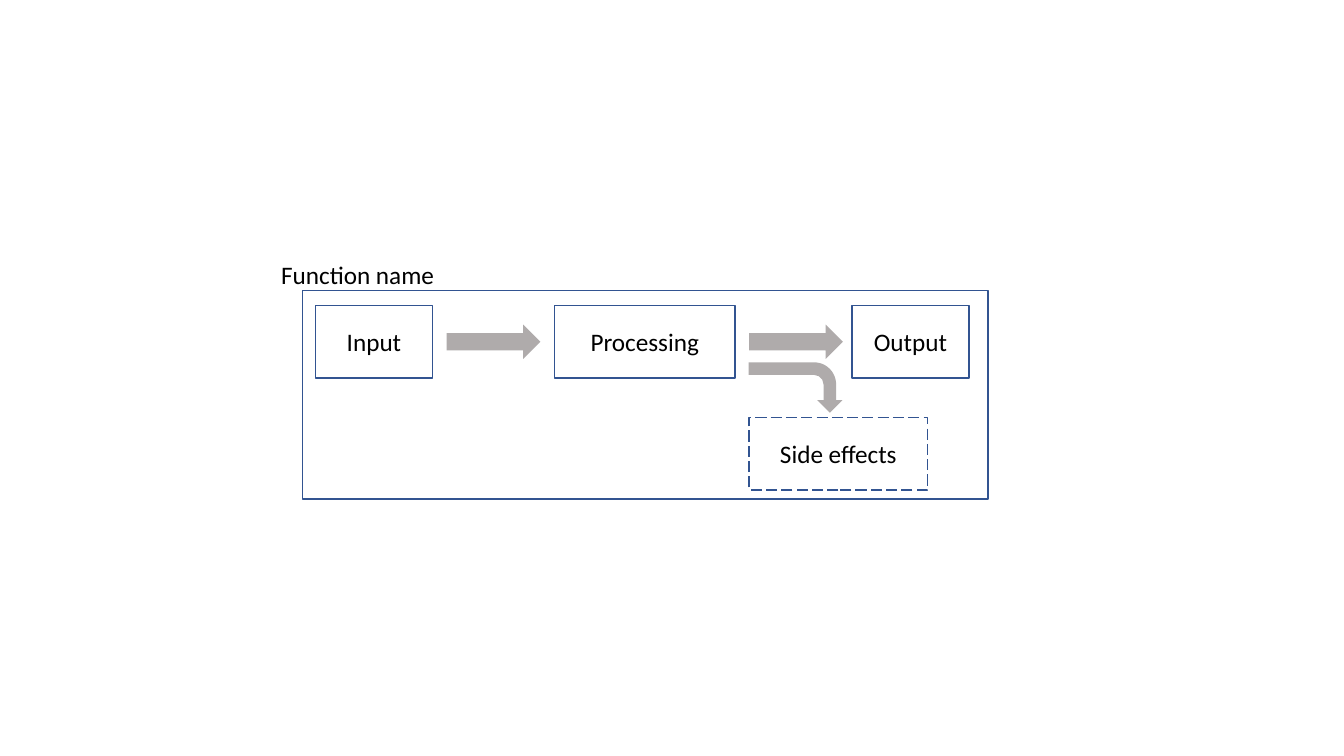
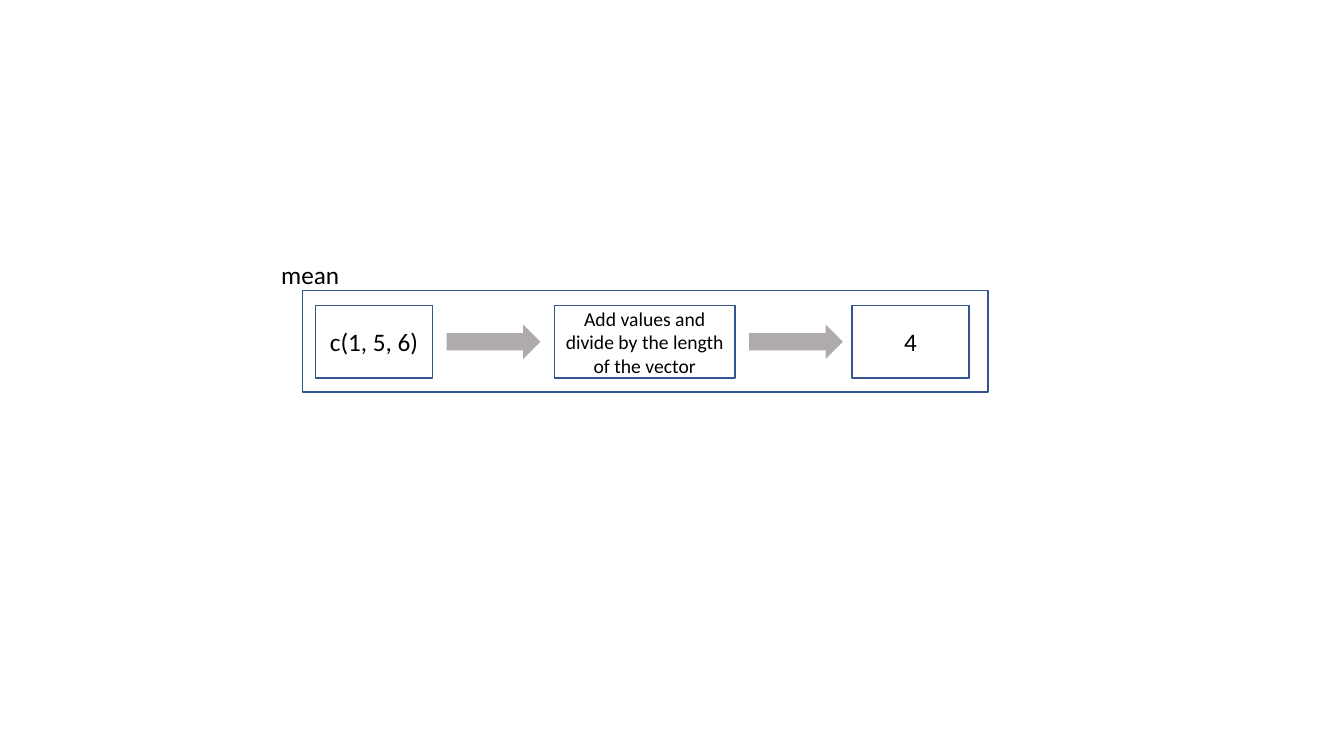
from pptx import Presentation
from pptx.dml.color import RGBColor
from pptx.enum.dml import MSO_LINE_DASH_STYLE as Dash
from pptx.enum.shapes import MSO_SHAPE as Shape
from pptx.enum.text import MSO_ANCHOR as Anchor, MSO_AUTO_SIZE as AutoSize, PP_ALIGN as Align
from pptx.util import Inches, Pt

FONT = "Calibri"
BORDER, ARROW, TEXT = "325491", "AFABAB", "000000"

# Shared geometry, in inches
FRAME_LEFT, FRAME_TOP, FRAME_WIDTH = 3, 2.88, 6.8
STEP_TOP, STEP_HEIGHT = 0.15, 0.72
STEP_COLUMNS = [(0.13, 1.16), (2.5, 1.79), (5.45, 1.16)]
ARROW_LEFTS = [1.43, 4.43]
ARROW_WIDTH, ARROW_HEIGHT = 0.93, 0.34


def color(hex_code):
    return RGBColor.from_string(hex_code)


def write(shape, text, size=18, align=Align.LEFT):
    shape.text_frame.text = text
    paragraph = shape.text_frame.paragraphs[0]
    paragraph.alignment = align
    font = paragraph.runs[0].font
    font.name, font.size = FONT, Pt(size)
    font.color.rgb = color(TEXT)


def add_plain(slide, kind, left, top, width, height):
    shape = slide.shapes.add_shape(
        kind, Inches(left), Inches(top), Inches(width), Inches(height))
    shape.shadow.inherit = False
    return shape


def add_box(slide, left, top, width, height, text=None, size=18, dash=None):
    box = add_plain(slide, Shape.RECTANGLE, left, top, width, height)
    box.fill.background()
    box.line.color.rgb = color(BORDER)
    box.line.width = Pt(1)
    if dash:
        box.line.dash_style = dash
    if text:
        box.text_frame.word_wrap = True
        box.text_frame.vertical_anchor = Anchor.MIDDLE
        write(box, text, size, Align.CENTER)


def add_arrow(slide, kind, left, top, width, height, rotation=0):
    arrow = add_plain(slide, kind, left, top, width, height)
    arrow.rotation = rotation
    arrow.fill.solid()
    arrow.fill.fore_color.rgb = color(ARROW)
    arrow.line.fill.background()


def add_name(slide, left, top, width, name):
    label = slide.shapes.add_textbox(
        Inches(left), Inches(top), Inches(width), Inches(0.4))
    label.text_frame.word_wrap = False
    label.text_frame.auto_size = AutoSize.SHAPE_TO_FIT_TEXT
    write(label, name)


def add_side_effects(slide, left, top, text):
    """Bent arrow leading down to a dashed box."""
    # The arrow is turned by 90 degrees, so its width and height swap
    add_arrow(slide, Shape.BENT_ARROW, left + 0.21, top, 0.5, 0.93, rotation=90)
    add_box(slide, left, top + 0.76, 1.77, STEP_HEIGHT, text, dash=Dash.LONG_DASH)


def add_function_slide(deck, name, name_width, steps, frame_height, side_effects=None):
    slide = deck.slides.add_slide(deck.slide_layouts[6])
    left, top = FRAME_LEFT, FRAME_TOP

    # Input, processing and output
    for (offset, width), (text, size) in zip(STEP_COLUMNS, steps):
        add_box(slide, left + offset, top + STEP_TOP, width, STEP_HEIGHT, text, size)

    # Arrows, centred on the steps
    arrow_top = top + STEP_TOP + (STEP_HEIGHT - ARROW_HEIGHT) / 2
    for offset in ARROW_LEFTS:
        add_arrow(slide, Shape.RIGHT_ARROW, left + offset, arrow_top,
                  ARROW_WIDTH, ARROW_HEIGHT)
    if side_effects:
        add_side_effects(slide, left + ARROW_LEFTS[-1], top + 0.5, side_effects)

    # Function name and frame
    add_name(slide, left - 0.31, top - 0.36, name_width, name)
    add_box(slide, left, top, FRAME_WIDTH, frame_height)


def main():
    deck = Presentation()
    deck.slide_width, deck.slide_height = Inches(13.33), Inches(7.5)
    add_function_slide(
        deck, "Function name", 1.74,
        [("Input", 18), ("Processing", 18), ("Output", 18)],
        frame_height=2.07, side_effects="Side effects")
    add_function_slide(
        deck, "mean", 0.78,
        [("c(1, 5, 6)", 18),
         ("Add values and divide by the length of the vector", 14),
         ("4", 18)],
        frame_height=1.01)
    deck.save("out.pptx")


if __name__ == "__main__":
    main()
